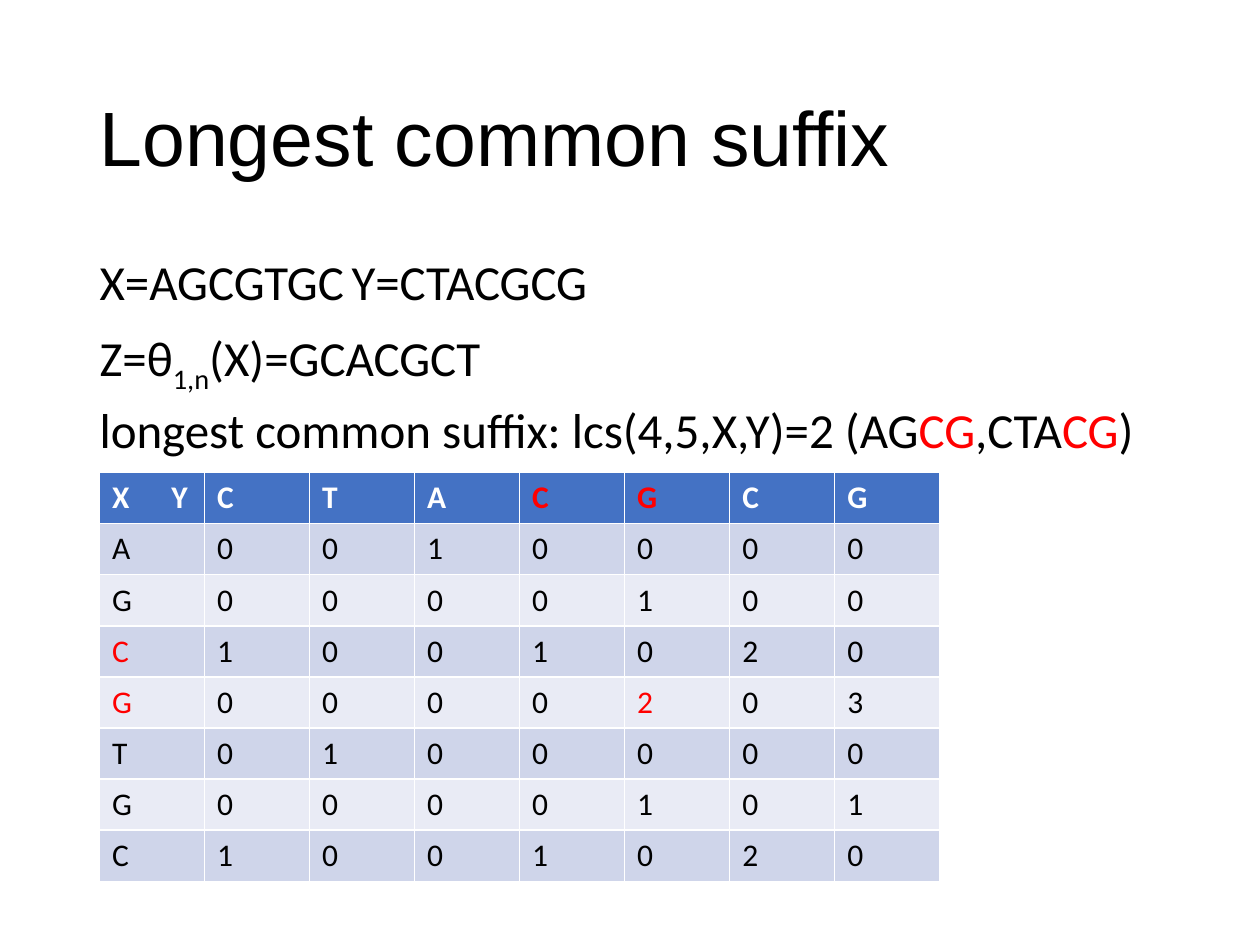
from lxml.etree import SubElement
from pptx import Presentation
from pptx.dml.color import RGBColor
from pptx.enum.text import MSO_ANCHOR, MSO_AUTO_SIZE, PP_ALIGN
from pptx.oxml.ns import qn
from pptx.util import Inches, Pt

BLACK = RGBColor(0x00, 0x00, 0x00)
WHITE = RGBColor(0xFF, 0xFF, 0xFF)
RED = RGBColor(0xFF, 0x00, 0x00)
HEADER_BLUE = RGBColor(0x44, 0x72, 0xC4)
BANDS = [RGBColor(0xE9, 0xEB, 0xF5), RGBColor(0xCF, 0xD5, 0xEA)]


def add_text(para, text, size=28, font="Calibri", color=BLACK, bold=False, baseline=0):
    span = para.add_run()
    span.text = text
    span.font.size = Pt(size)
    span.font.name = font
    span.font.bold = bold
    span.font.color.rgb = color
    if baseline:
        span._r.get_or_add_rPr().set("baseline", str(baseline * 1000))


def add_tab_stop(para, position):
    tab_list = SubElement(para._p.get_or_add_pPr(), qn("a:tabLst"))
    SubElement(tab_list, qn("a:tab"), pos=str(Inches(position)), algn="l")


deck = Presentation()
deck.slide_width, deck.slide_height = Inches(10), Inches(7.5)
page = deck.slides.add_slide(deck.slide_layouts[1])
title, body = page.placeholders
margin = Inches(0.69)
content_width = deck.slide_width - 2 * margin

# Title
title.left, title.top = margin, Inches(0.4)
title.width, title.height = content_width, Inches(1.45)
title.text_frame.vertical_anchor = MSO_ANCHOR.MIDDLE
title.text_frame.auto_size = MSO_AUTO_SIZE.NONE
heading = title.text_frame.paragraphs[0]
heading.alignment = PP_ALIGN.LEFT
heading.line_spacing = 0.9
add_text(heading, "Longest common suffix", size=44, font="Arial")

# Definitions
body.left, body.top = margin, Inches(2)
body.width, body.height = content_width, Inches(4.76)
body.text_frame.auto_size = MSO_AUTO_SIZE.NONE
red = {"color": RED}
lines = [
    [("X=AGCGTGC\tY=CTACGCG", {})],
    [("Z=θ", {}), ("1,n", {"baseline": -25}), ("(X)=GCACGCT", {})],
    [("longest common suffix: lcs(4,5,X,Y)=2 (AG", {}), ("CG", red),
     (",CTA", {}), ("CG", red), (")", {})],
]
for number, line in enumerate(lines):
    para = body.text_frame.add_paragraph() if number else body.text_frame.paragraphs[0]
    settings = para._p.get_or_add_pPr()
    settings.set("marL", "0")
    settings.set("indent", "0")
    SubElement(settings, qn("a:buNone"))
    if number == 0:
        add_tab_stop(para, 2.18)
    para.line_spacing = 0.9
    para.space_before = Pt(10 if number else 0)
    for text, style in line:
        add_text(para, text, **style)

# Suffix length table
rows = [
    ["X\tY", *"CTACGCG"],
    *map(list, ["A0010000", "G0000100", "C1001020", "G0000203",
                "T0100000", "G0000101", "C1001020"]),
]
highlights = {(0, 4), (0, 5), (3, 0), (4, 0), (4, 5)}
size = len(rows)
table = page.shapes.add_table(size, size, Inches(0.79), Inches(3.75),
                              Inches(6.67), Inches(3.24)).table
for row, values in enumerate(rows):
    for column, value in enumerate(values):
        cell = table.cell(row, column)
        cell.fill.solid()
        cell.fill.fore_color.rgb = BANDS[row % 2] if row else HEADER_BLUE
        para = cell.text_frame.paragraphs[0]
        if "\t" in value:
            add_tab_stop(para, 0.47)
        color = BLACK if row else WHITE
        if (row, column) in highlights:
            color = RED
        add_text(para, value, size=18, color=color, bold=row == 0)

# The corner cell has no borders
corner = table.cell(0, 0)._tc.get_or_add_tcPr()
for position, side in enumerate(["lnL", "lnR", "lnT", "lnB"]):
    border = SubElement(corner, qn("a:" + side))
    SubElement(border, qn("a:noFill"))
    corner.insert(position, border)

deck.save("out.pptx")
